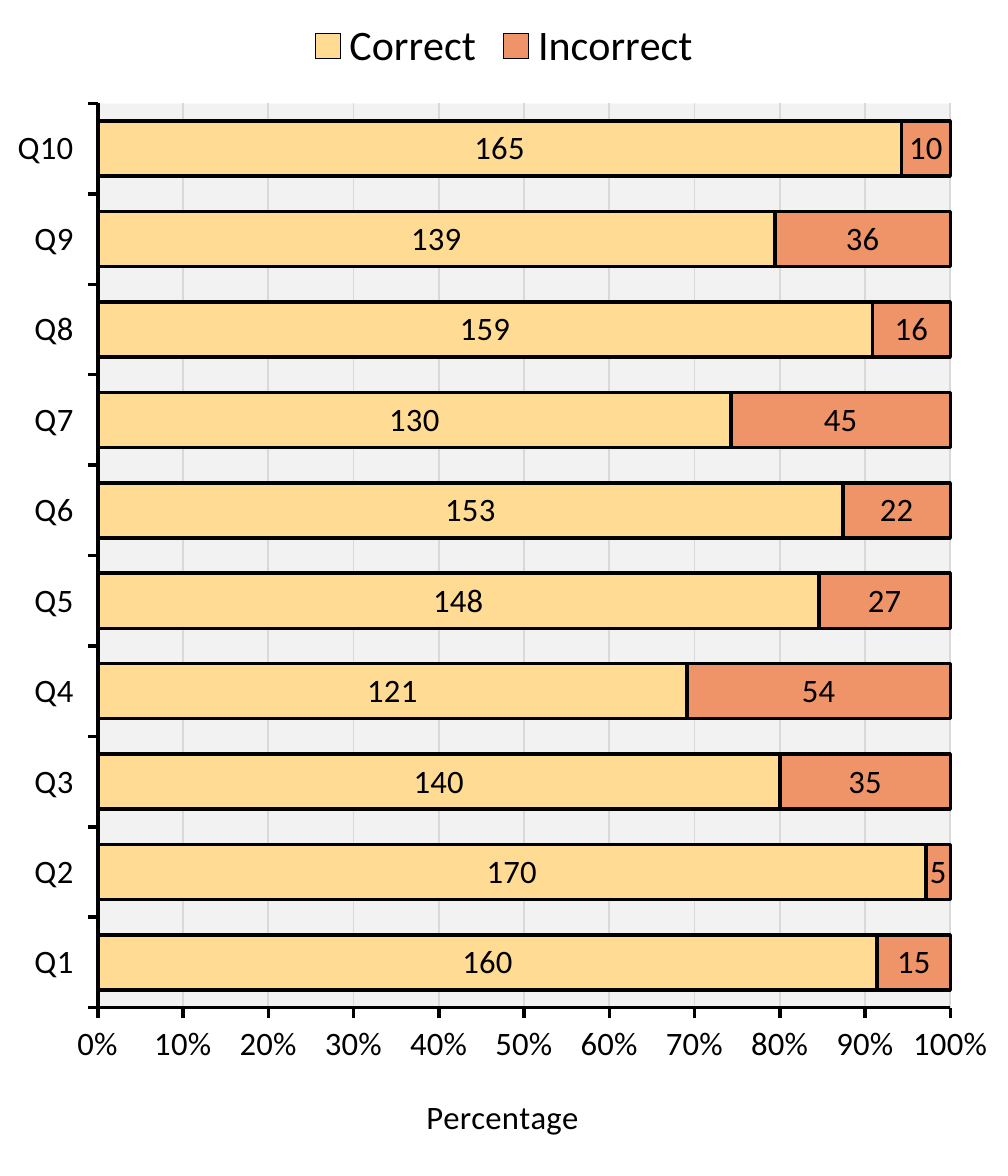
from dataclasses import dataclass

from lxml import etree
from pptx import Presentation
from pptx.chart.data import CategoryChartData
from pptx.dml.color import RGBColor
from pptx.enum import chart as kinds
from pptx.oxml import parse_xml
from pptx.oxml.ns import nsdecls, qn
from pptx.util import Inches, Pt


@dataclass(frozen=True)
class Theme:
    font: str = "Calibri"
    ink: str = "000000"
    correct: str = "FFDB93"
    incorrect: str = "EF9368"
    grid: str = "D9D9D9"
    plot: str = "F2F2F2"
    text_size: int = 14
    legend_size: int = 18
    line: float = 1.5
    grid_line: float = 0.75


theme = Theme()


def set_font(font, size):
    font.name = theme.font
    font.size = Pt(size)
    font.bold = False
    font.color.rgb = RGBColor.from_string(theme.ink)


def set_line(line, color, width):
    line.color.rgb = RGBColor.from_string(color)
    line.width = Pt(width)


deck = Presentation()
deck.slide_width, deck.slide_height = Inches(6), Inches(7)
page = deck.slides.add_slide(deck.slide_layouts[6])

# Answers per question
correct = [160, 170, 140, 121, 148, 153, 130, 159, 139, 165]
incorrect = [15, 5, 35, 54, 27, 22, 45, 16, 36, 10]
answers = CategoryChartData(number_format="0")
answers.categories = [f"Q{number} " for number in range(1, 11)]
answers.add_series("Correct", correct)
answers.add_series("Incorrect", incorrect)
chart = page.shapes.add_chart(
    kinds.XL_CHART_TYPE.BAR_STACKED_100, 0, 0, Inches(6), Inches(7), answers
).chart
set_font(chart.font, theme.text_size)
chart.has_title = False

# Bars and their value labels
plot = chart.plots[0]
plot.gap_width = 64
plot.overlap = 100
plot.vary_by_categories = False
for series, color in zip(plot.series, (theme.correct, theme.incorrect)):
    series.format.fill.solid()
    series.format.fill.fore_color.rgb = RGBColor.from_string(color)
    set_line(series.format.line, theme.ink, theme.line)
    labels = series.data_labels
    labels.show_value = True
    labels.position = kinds.XL_LABEL_POSITION.CENTER
    set_font(labels.font, theme.text_size)

# Legend
chart.has_legend = True
chart.legend.position = kinds.XL_LEGEND_POSITION.TOP
chart.legend.include_in_layout = False
set_font(chart.legend.font, theme.legend_size)

# Axes
for axis in (chart.category_axis, chart.value_axis):
    axis.major_tick_mark = kinds.XL_TICK_MARK.OUTSIDE
    axis.minor_tick_mark = kinds.XL_TICK_MARK.NONE
    set_font(axis.tick_labels.font, theme.text_size)
    set_line(axis.format.line, theme.ink, theme.line)
chart.category_axis.has_major_gridlines = False

percentage = chart.value_axis
percentage.minimum_scale, percentage.maximum_scale = 0, 1
percentage.major_unit = 0.1
percentage.tick_labels.number_format = "0%"
percentage.tick_labels.number_format_is_linked = False
percentage.has_major_gridlines = True
set_line(percentage.major_gridlines.format.line, theme.grid, theme.grid_line)
title = percentage.axis_title.text_frame
title.text = "Percentage"
set_font(title.paragraphs[0].font, theme.text_size)

# Plot area: place within the chart, and background
plot_area = chart._chartSpace.chart.plotArea
for layout in plot_area.findall(qn("c:layout")):
    plot_area.remove(layout)
layout = parse_xml(f"<c:layout {nsdecls('c')}><c:manualLayout/></c:layout>")
place = {"layoutTarget": "inner", "xMode": "edge", "yMode": "edge",
         "x": 0.097, "y": 0.088, "w": 0.846, "h": 0.769}
for tag, value in place.items():
    etree.SubElement(layout[0], qn(f"c:{tag}")).set("val", str(value))
plot_area.insert(0, layout)
plot_area.append(parse_xml(
    f'<c:spPr {nsdecls("c", "a")}><a:solidFill><a:srgbClr val="{theme.plot}"/>'
    "</a:solidFill><a:ln><a:noFill/></a:ln></c:spPr>"))

deck.save("out.pptx")
